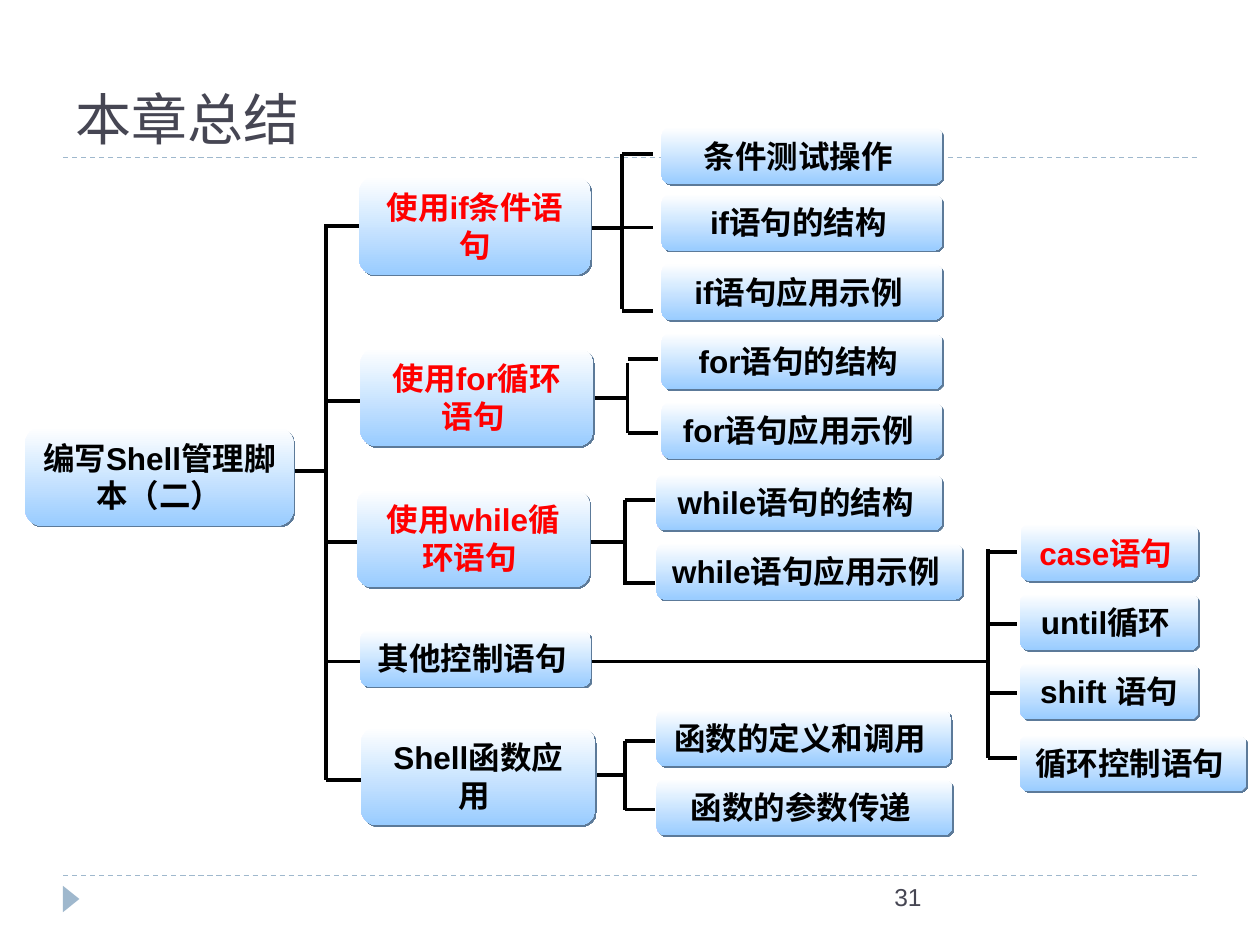
from dataclasses import dataclass

from lxml.etree import SubElement
from pptx import Presentation
from pptx.dml.color import RGBColor as Color
from pptx.enum.dml import MSO_LINE_DASH_STYLE as Dash
from pptx.enum.lang import MSO_LANGUAGE_ID as Language
from pptx.enum.shapes import MSO_CONNECTOR as Connector, MSO_SHAPE as Preset
from pptx.enum.text import MSO_ANCHOR as Anchor, MSO_AUTO_SIZE as Fit, PP_ALIGN as Align
from pptx.oxml.ns import qn
from pptx.util import Pt


@dataclass(frozen=True)
class Theme:
    ink: str = "000000"
    accent: str = "FF0000"
    heading: str = "464653"
    rule: str = "9FB8CD"
    box_top: str = "FFFFFF"
    box_bottom: str = "99CCFF"
    shadow: str = "5C7A99"
    title_font: str = "Roboto Slab"
    body_font: str = "Arial"
    title_size: float = 32
    topic_size: float = 18
    number_size: float = 14
    branch_weight: float = 2.25
    rule_weight: float = 0.75


@dataclass(frozen=True)
class Topic:
    text: str
    left: float
    top: float
    width: float
    lines: int = 1
    key: bool = False


@dataclass(frozen=True)
class Branch:
    start: float
    stem: float
    spine: float
    top: float
    bottom: float
    tip: float
    rows: tuple[float, ...]


THEME = Theme()
HEIGHTS = {1: 32.4, 2: 56.2}

TOPICS = [
    Topic("编写Shell管理脚本（二）", 14.4, 244.1, 153.4, 2),
    Topic("使用if条件语句", 205.2, 100.8, 132.5, 2, True),
    Topic("使用for循环语句 ", 205.9, 198.7, 133.2, 2, True),
    Topic("使用while循环语句 ", 203.8, 279.4, 133.2, 2, True),
    Topic("其他控制语句 ", 205.9, 360, 131.8),
    Topic("Shell函数应用 ", 206.3, 415.4, 133.9, 2),
    Topic("条件测试操作 ", 378, 72.7, 160.6),
    Topic("if语句的结构 ", 378, 110.9, 160.6),
    Topic("if语句应用示例 ", 378, 150.5, 160.6),
    Topic("for语句的结构 ", 378, 190.1, 160.6),
    Topic("for语句应用示例 ", 378, 229.7, 160.6),
    Topic("while语句的结构 ", 375.1, 270.7, 163.4),
    Topic("while语句应用示例 ", 375.1, 310.3, 175),
    Topic("函数的定义和调用 ", 375.1, 405.4, 168.5),
    Topic("函数的参数传递 ", 375.1, 445, 169.2),
    Topic("case语句 ", 583.2, 299.5, 101.5, key=True),
    Topic("until循环 ", 582.8, 339.1, 102.2),
    Topic("shift 语句", 582.8, 378.7, 102.2),
    Topic("循环控制语句 ", 582.8, 419.8, 129.6),
]

BRANCHES = [
    Branch(150.5, 269.3, 186.1, 128.2, 445.7, 206.6, (128.9, 229, 309.6, 378, 445.7)),
    Branch(335.5, 130.3, 355.7, 87.8, 176.4, 373, (87.8, 130, 177.8)),
    Branch(338.4, 227.5, 358.6, 207.4, 247.7, 375.8, (205.2, 247.7)),
    Branch(337.7, 309.6, 357.1, 285.8, 334.1, 374.4, (285.8, 333.4)),
    Branch(331.9, 378, 564.5, 313.9, 433.4, 581, (315.4, 356.4, 396, 433.4)),
    Branch(337.7, 442.8, 357.1, 423.4, 463, 374.4, (423.4, 462.6)),
]


def set_all(target: object, values: dict) -> None:
    for name, value in values.items():
        setattr(target, name, value)


def draw_line(page, start: tuple, end: tuple, color: str, weight: float, dash=None) -> None:
    line = page.shapes.add_connector(Connector.STRAIGHT, *map(Pt, (*start, *end)))
    line.line.color.rgb = Color.from_string(color)
    set_all(line.line, {"width": Pt(weight), "dash_style": dash})
    SubElement(line.element.spPr, qn("a:effectLst"))


def draw_branch(page, branch: Branch) -> None:
    segments = [
        ((branch.start, branch.stem), (branch.spine, branch.stem)),
        ((branch.spine, branch.top), (branch.spine, branch.bottom)),
    ]
    segments += [((branch.spine, row), (branch.tip, row)) for row in branch.rows]
    for start, end in segments:
        draw_line(page, start, end, THEME.ink, THEME.branch_weight)


def write_text(box, text: str, frame_format: dict, font_format: dict, color: str, align=Align.LEFT) -> None:
    frame = box.text_frame
    set_all(frame, {"word_wrap": True, **frame_format})
    para = frame.paragraphs[0]
    para.alignment = align
    span = para.add_run()
    span.text = text
    set_all(span.font, {"language_id": Language.SIMPLIFIED_CHINESE, **font_format})
    span.font.color.rgb = Color.from_string(color)


def add_hard_shadow(box) -> None:
    box.shadow.inherit = False
    effects = box.element.spPr.find(qn("a:effectLst"))
    shadow = SubElement(effects, qn("a:outerShdw"), blurRad="0", dist=str(Pt(1.4)), dir="2700000", algn="ctr", rotWithShape="0")
    SubElement(shadow, qn("a:srgbClr"), val=THEME.shadow)


def draw_topic(page, topic: Topic) -> None:
    place = (topic.left, topic.top, topic.width, HEIGHTS[topic.lines])
    box = page.shapes.add_shape(Preset.ROUNDED_RECTANGLE, *map(Pt, place))
    box.fill.gradient()
    box.fill.gradient_angle = 270
    for stop, color in zip(box.fill.gradient_stops, (THEME.box_top, THEME.box_bottom)):
        stop.color.rgb = Color.from_string(color)
    box.line.fill.background()
    add_hard_shadow(box)
    write_text(
        box,
        topic.text,
        {"vertical_anchor": Anchor.MIDDLE, "auto_size": Fit.SHAPE_TO_FIT_TEXT},
        {"name": THEME.body_font, "size": Pt(THEME.topic_size), "bold": True},
        THEME.accent if topic.key else THEME.ink,
        Align.CENTER,
    )


def draw_frame(page) -> None:
    for height in (500.4, 90):
        draw_line(page, (36, height), (684, height), THEME.rule, THEME.rule_weight, Dash.DASH)
    marker = page.shapes.add_shape(Preset.ISOSCELES_TRIANGLE, *map(Pt, (33.1, 509, 15.1, 9.4)))
    marker.rotation = 90
    marker.fill.solid()
    marker.fill.fore_color.rgb = Color.from_string(THEME.rule)
    marker.line.fill.background()
    marker.shadow.inherit = False
    number = page.shapes.add_textbox(*map(Pt, (504, 500.4, 180, 28.8)))
    write_text(number, "31", {}, {"name": THEME.body_font, "size": Pt(THEME.number_size)}, THEME.heading)
    title = page.shapes.add_textbox(*map(Pt, (36, 12.2, 648, 77.8)))
    write_text(
        title,
        "本章总结",
        {"vertical_anchor": Anchor.BOTTOM},
        {"name": THEME.title_font, "size": Pt(THEME.title_size)},
        THEME.heading,
    )


def main() -> None:
    deck = Presentation()
    set_all(deck, {"slide_width": Pt(720), "slide_height": Pt(540)})
    page = deck.slides.add_slide(deck.slide_layouts[6])
    draw_frame(page)
    for branch in BRANCHES:
        draw_branch(page, branch)
    for topic in TOPICS:
        draw_topic(page, topic)
    deck.save("out.pptx")


if __name__ == "__main__":
    main()
